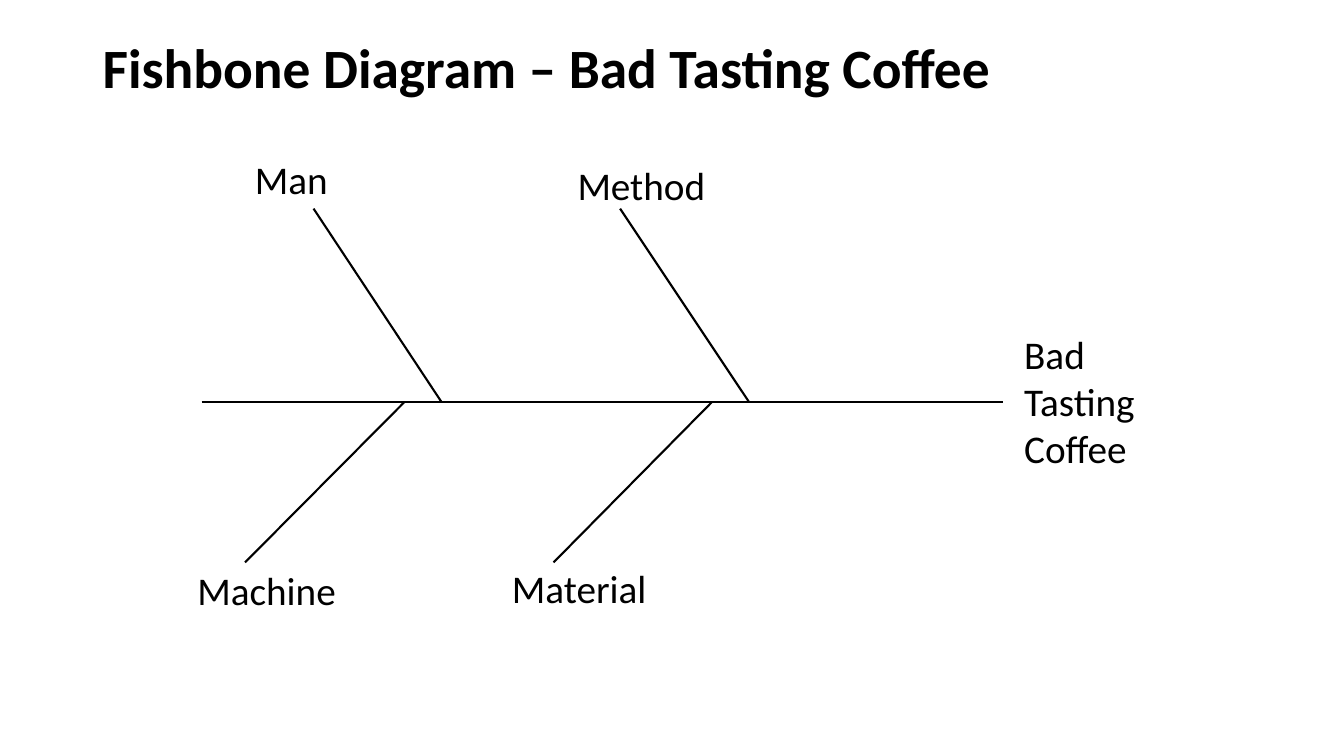
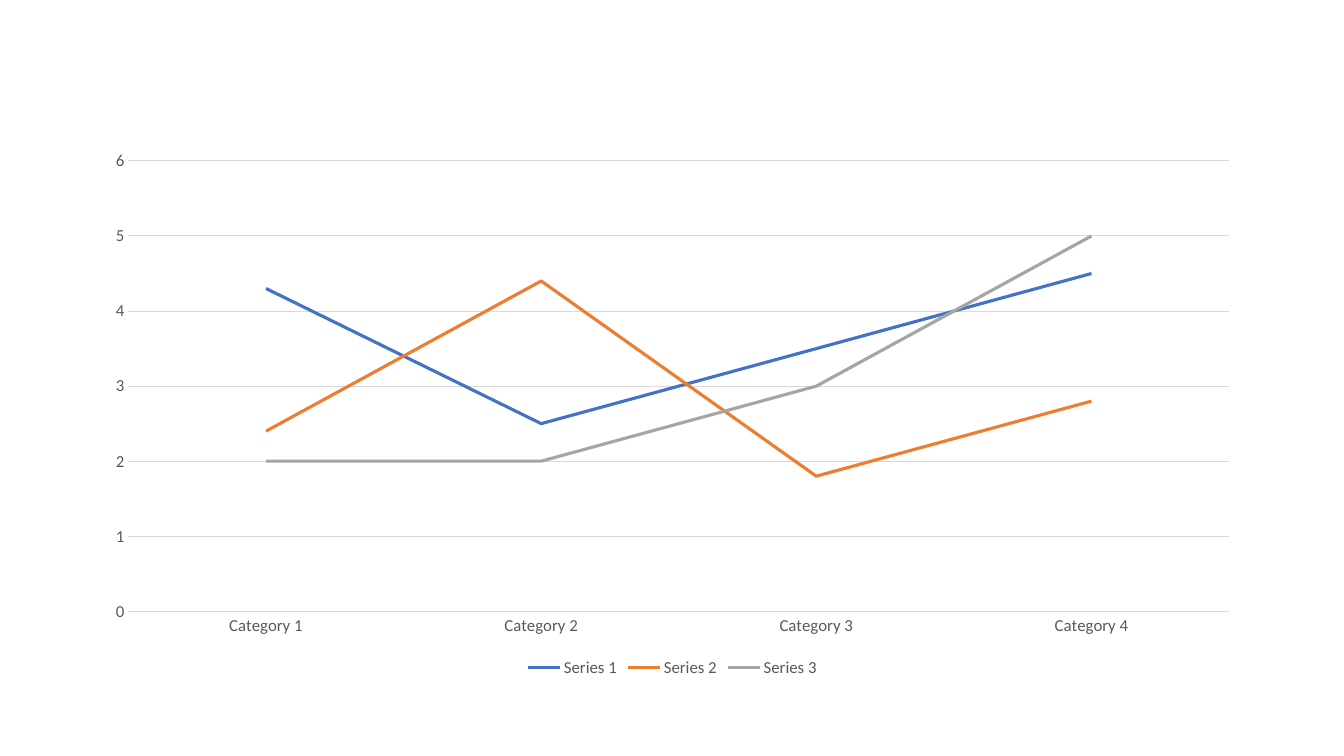
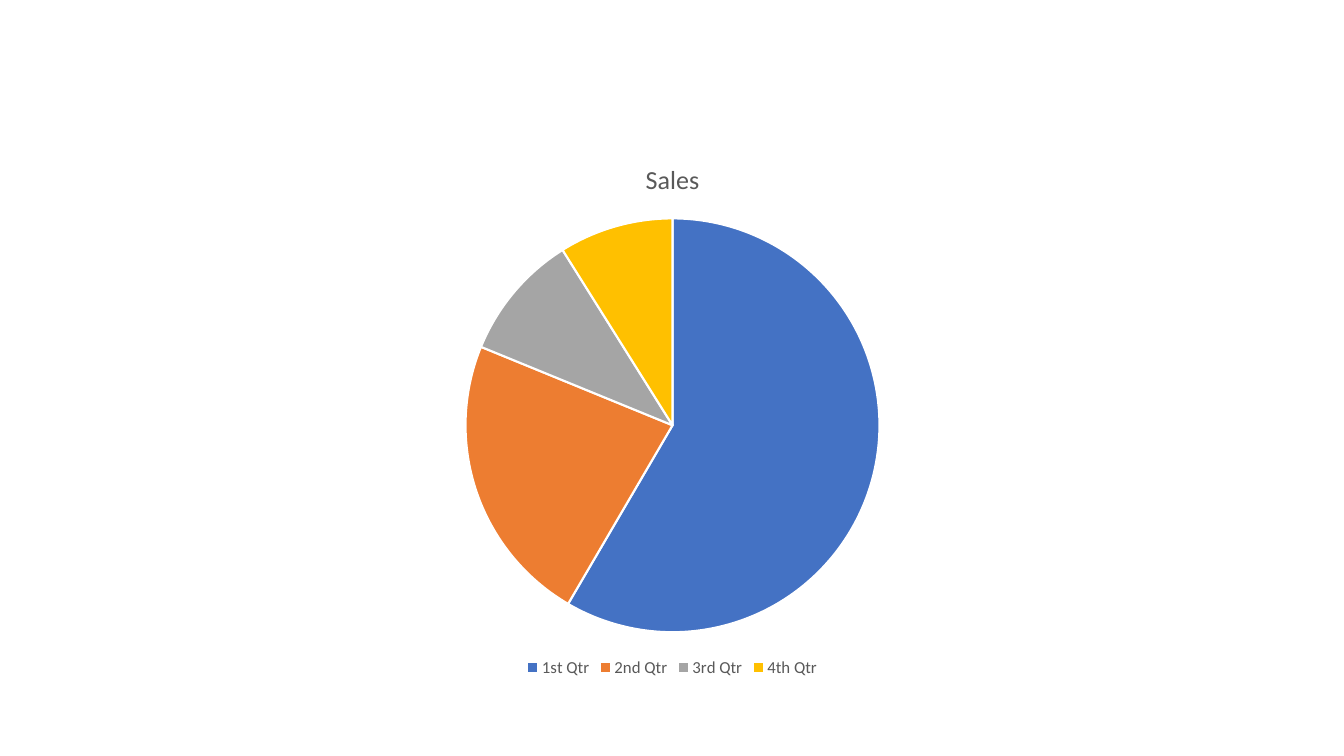
from lxml import etree
from pptx import Presentation
from pptx.chart.data import CategoryChartData
from pptx.dml.color import RGBColor
from pptx.enum.chart import XL_CHART_TYPE, XL_LEGEND_POSITION, XL_MARKER_STYLE, XL_TICK_MARK
from pptx.enum.shapes import MSO_CONNECTOR
from pptx.enum.text import MSO_ANCHOR, MSO_AUTO_SIZE
from pptx.oxml.ns import qn
from pptx.util import Inches, Pt

LINE, PIE = XL_CHART_TYPE.LINE, XL_CHART_TYPE.PIE
BOTTOM = XL_LEGEND_POSITION.BOTTOM
UNMARKED = XL_MARKER_STYLE.NONE
NO_TICK = XL_TICK_MARK.NONE
STRAIGHT = MSO_CONNECTOR.STRAIGHT
MIDDLE = MSO_ANCHOR.MIDDLE
GROW = MSO_AUTO_SIZE.SHAPE_TO_FIT_TEXT

FONT = "Calibri"
BLACK, WHITE, GRAY, GRID = "000000", "FFFFFF", "595959", "D9D9D9"
ACCENTS = ["4472C4", "ED7D31", "A5A5A5", "FFC000"]


def color(code):
    return RGBColor.from_string(code)


def style(font, size, code=BLACK, bold=False):
    font.name, font.size, font.bold = FONT, Pt(size), bold
    font.color.rgb = color(code)


def stroke(line, code, width):
    line.color.rgb = color(code)
    line.width = Pt(width)


class Deck:
    """Holds the presentation, its style and the current slide."""

    def __init__(self):
        self.prs = Presentation()
        self.prs.slide_width, self.prs.slide_height = Inches(13.33), Inches(7.5)
        self.slide = None

    def add(self):
        self.slide = self.prs.slides.add_slide(self.prs.slide_layouts[6])

    def text(self, words, left, top, width, height, size=28, bold=False):
        box = self.slide.shapes.add_textbox(*map(Inches, (left, top, width, height)))
        frame = box.text_frame
        frame.word_wrap = True
        frame.text = words
        style(frame.paragraphs[0].font, size, bold=bold)
        return frame

    def title(self, words):
        frame = self.text(words, 0.92, 0.4, 11.5, 0.59, 39.6, True)
        frame.vertical_anchor = MIDDLE
        frame.paragraphs[0].line_spacing = 0.9

    def label(self, words, left, top, height=0.57):
        self.text(words, left, top, 1.67, height).auto_size = GROW

    def line(self, *ends):
        line = self.slide.shapes.add_connector(STRAIGHT, *map(Inches, ends))
        stroke(line.line, BLACK, 1.5)
        etree.SubElement(line._element.spPr, qn("a:effectLst"))

    def chart(self, kind, cats, series):
        data = CategoryChartData()
        data.categories = cats
        for name, vals in series.items():
            data.add_series(name, vals)
        area = map(Inches, (0.92, 1.39, 11.5, 5.37))
        chart = self.slide.shapes.add_chart(kind, *area, data).chart
        style(chart.font, 10)
        chart.has_title = False
        chart.has_legend = True
        chart.legend.position = BOTTOM
        chart.legend.include_in_layout = False
        style(chart.legend.font, 12, GRAY)
        return chart

    def lines(self, cats, series):
        chart = self.chart(LINE, cats, series)
        plot = chart.plots[0]
        plot.vary_by_categories = False
        for row, code in zip(plot.series, ACCENTS):
            row.smooth = False
            row.marker.style = UNMARKED
            stroke(row.format.line, code, 2.25)
        for axis in (chart.category_axis, chart.value_axis):
            axis.major_tick_mark = axis.minor_tick_mark = NO_TICK
            style(axis.tick_labels.font, 12, GRAY)
        stroke(chart.category_axis.format.line, GRID, 0.75)
        chart.value_axis.format.line.fill.background()
        stroke(chart.value_axis.major_gridlines.format.line, GRID, 0.75)

    def pie(self, name, parts):
        chart = self.chart(PIE, list(parts), {name: list(parts.values())})
        frame = chart.chart_title.text_frame
        frame.text = name
        style(frame.paragraphs[0].font, 18.6, GRAY)
        plot = chart.plots[0]
        plot.vary_by_categories = True
        for i, code in enumerate(ACCENTS[:len(parts)]):
            part = plot.series[0].points[i].format
            part.fill.solid()
            part.fill.fore_color.rgb = color(code)
            stroke(part.line, WHITE, 1.5)


def fishbone(deck):
    deck.add()
    deck.title("Fishbone Diagram – Bad Tasting Coffee")
    spine = 3.99
    deck.line(2, spine, 9.95, spine)
    deck.label("Bad Tasting Coffee", 10.06, 3.23, 1.51)
    # cause, label left and top, bone start x and y, x on the spine
    for cause, left, top, x, y, foot in (
        ("Man", 2.43, 1.49, 3.11, 2.07, 4.38),
        ("Method", 5.63, 1.55, 6.15, 2.07, 7.43),
        ("Machine", 1.86, 5.57, 2.43, 5.58, 4.01),
        ("Material", 4.98, 5.55, 5.49, 5.58, 7.06),
    ):
        deck.line(x, y, foot, spine)
        deck.label(cause, left, top)


def main():
    deck = Deck()
    fishbone(deck)
    deck.add()
    deck.lines([f"Category {n}" for n in range(1, 5)], {
        "Series 1": (4.3, 2.5, 3.5, 4.5),
        "Series 2": (2.4, 4.4, 1.8, 2.8),
        "Series 3": (2, 2, 3, 5),
    })
    deck.add()
    deck.pie("Sales", {"1st Qtr": 59, "2nd Qtr": 23, "3rd Qtr": 10, "4th Qtr": 9})
    deck.prs.save("out.pptx")


if __name__ == "__main__":
    main()
